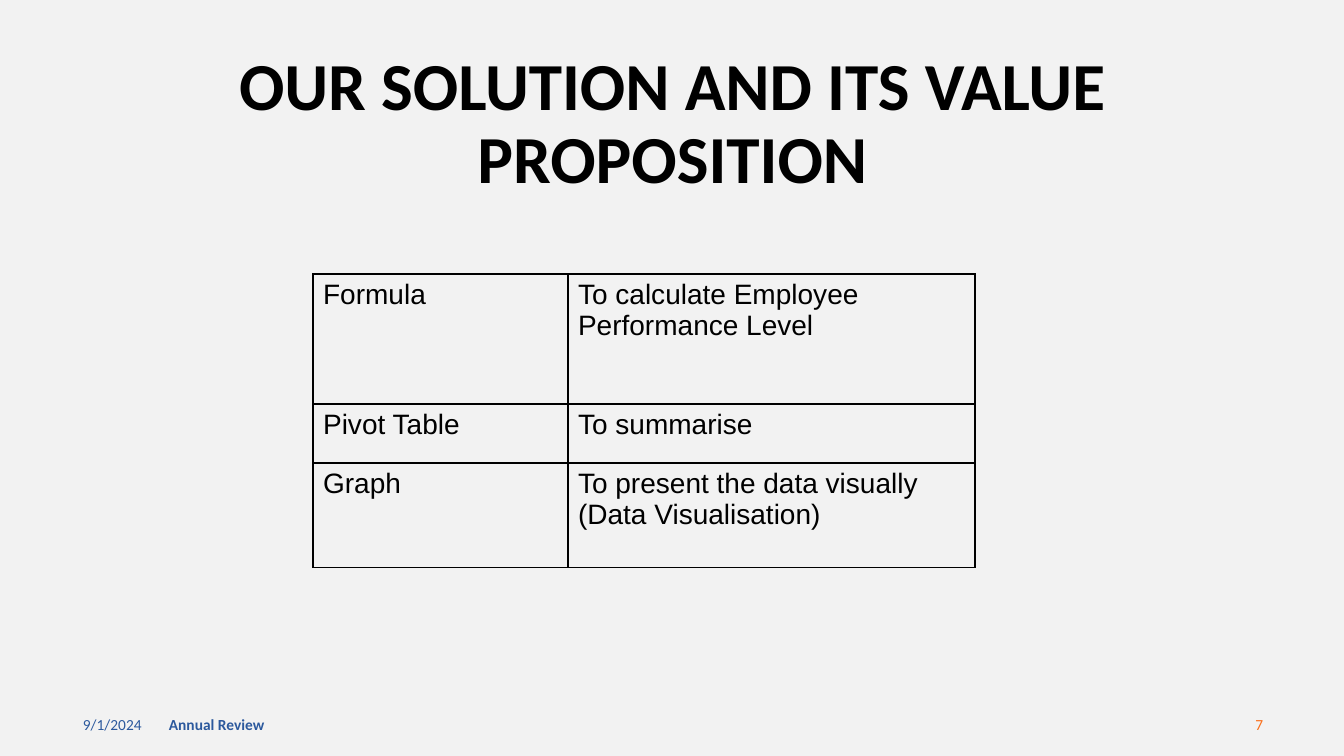
"""Build the solution and value proposition slide."""
import pptx
import pptx.dml.color
import pptx.enum.text
import pptx.oxml
import pptx.oxml.ns
import pptx.util

RGB = pptx.dml.color.RGBColor
BLACK = RGB(0x00, 0x00, 0x00)
BLUE = RGB(0x2C, 0x59, 0x9D)
ORANGE = RGB(0xFA, 0x6F, 0x1A)
PALE = RGB(0xF2, 0xF2, 0xF2)
ALIGN = pptx.enum.text.PP_ALIGN
MIDDLE = pptx.enum.text.MSO_ANCHOR.MIDDLE
SCALE = 914400 / 100.8

ROWS = [
    ("Formula", "To calculate Employee Performance Level"),
    ("Pivot Table", "To summarise"),
    ("Graph", "To present the data visually (Data Visualisation)"),
]
WIDTHS = [255, 407]
HEIGHTS = [130, 59, 105]


def px(count):
    return pptx.util.Emu(round(count * SCALE))


def write(frame, text, size, font="Calibri", color=BLACK, bold=False,
          align=ALIGN.LEFT, lines=None):
    frame.word_wrap = True
    par = frame.paragraphs[0]
    par.alignment = align
    par.line_spacing = lines
    run = par.add_run()
    run.text = text
    run.font.size = pptx.util.Pt(size)
    run.font.name = font
    run.font.bold = bold
    run.font.color.rgb = color


def add_title(slide, text):
    title = slide.shapes.title
    title.left, title.top = px(93), px(9)
    title.width, title.height = px(1159), px(233)
    title.text_frame.vertical_anchor = MIDDLE
    write(title.text_frame, text, 48, bold=True, align=ALIGN.CENTER, lines=0.9)


def add_note(slide, left, width, text, **form):
    box = slide.shapes.add_textbox(px(left), px(704), px(width), px(40))
    box.text_frame.vertical_anchor = MIDDLE
    write(box.text_frame, text, 11, **form)


def add_edges(cell):
    props = cell._tc.get_or_add_tcPr()
    for index, side in enumerate(("lnL", "lnR", "lnT", "lnB")):
        props.insert(index, pptx.oxml.parse_xml(
            f'<a:{side} {pptx.oxml.ns.nsdecls("a")} w="12700"><a:solidFill>'
            f'<a:srgbClr val="{BLACK}"/></a:solidFill></a:{side}>'))


def add_grid(slide):
    grid = slide.shapes.add_table(
        len(ROWS), len(WIDTHS), px(313), px(274),
        px(sum(WIDTHS)), px(sum(HEIGHTS))).table
    grid.first_row = False
    grid.horz_banding = False
    for column, width in zip(grid.columns, WIDTHS):
        column.width = px(width)
    for row, height, texts in zip(grid.rows, HEIGHTS, ROWS):
        row.height = px(height)
        for cell, text in zip(row.cells, texts):
            cell.fill.background()
            write(cell.text_frame, text, 20, font="Arial")
            add_edges(cell)


def main():
    deck = pptx.Presentation()
    deck.slide_width, deck.slide_height = px(1344), px(756)
    slide = deck.slides.add_slide(deck.slide_layouts[5])
    slide.background.fill.solid()
    slide.background.fill.fore_color.rgb = PALE
    add_note(slide, 73, 302, "9/1/2024", color=BLUE)
    add_note(slide, 159, 454, "Annual Review", color=BLUE, bold=True)
    add_note(slide, 971, 302, "7", color=ORANGE, align=ALIGN.RIGHT)
    add_title(slide, "OUR SOLUTION AND ITS VALUE PROPOSITION")
    add_grid(slide)
    deck.save("out.pptx")


if __name__ == "__main__":
    main()
